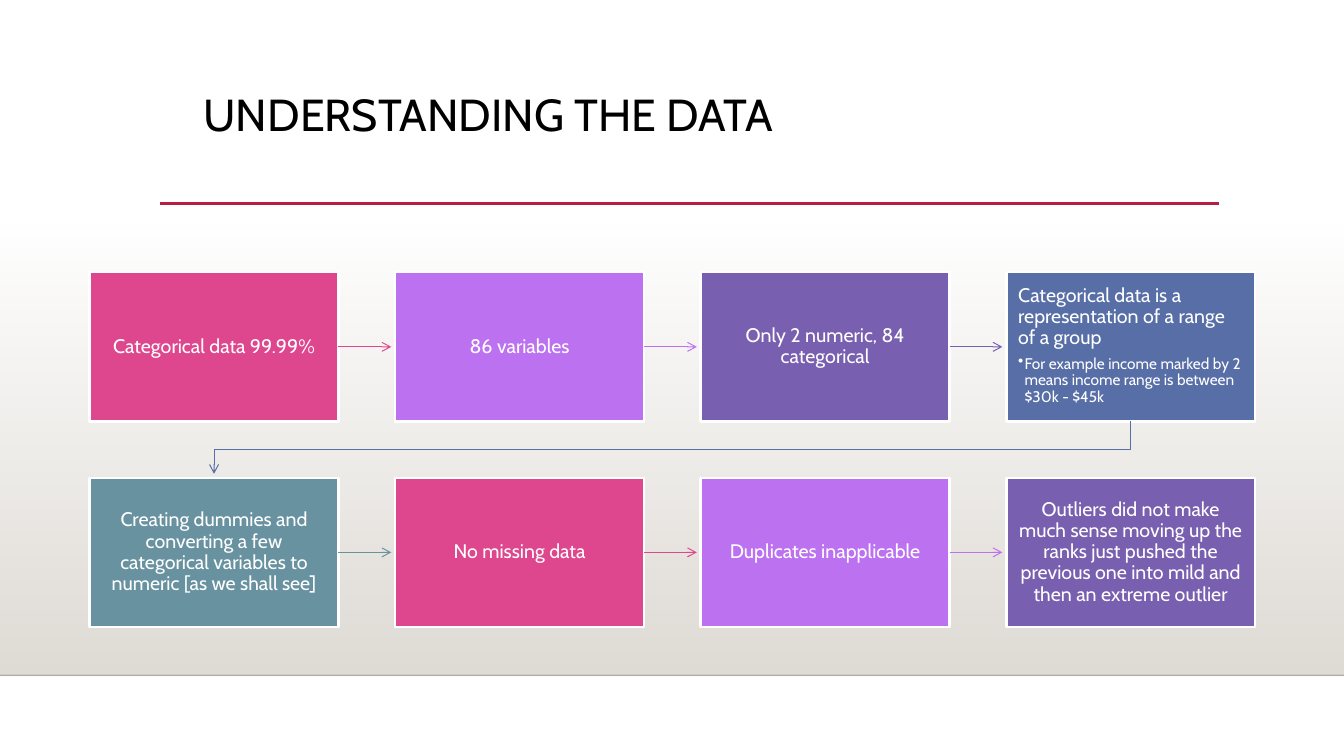
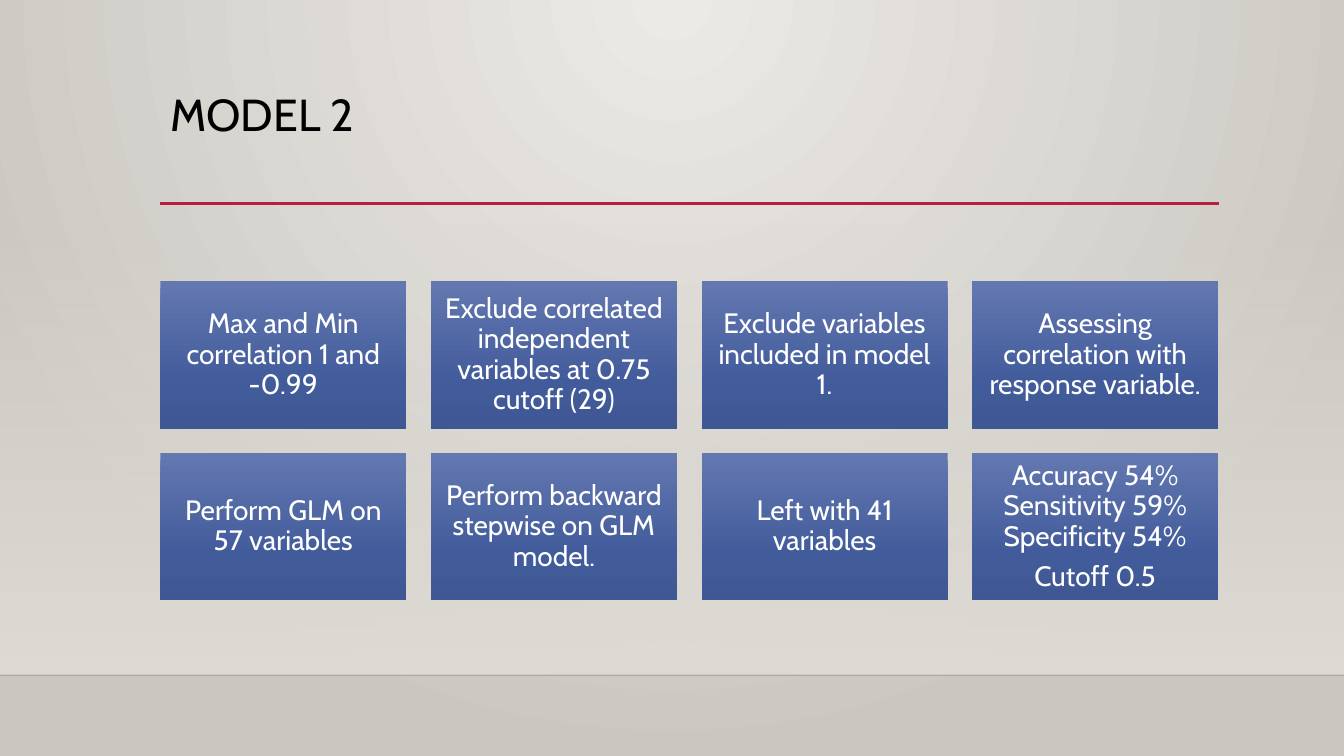
from lxml import etree
from pptx import Presentation
from pptx.dml.color import RGBColor
from pptx.enum import shapes, text
from pptx.oxml import ns
from pptx.util import Cm, Pt

FONT = "Cabin"
WHITE = RGBColor(0xFF, 0xFF, 0xFF)
BLACK = RGBColor(0x00, 0x00, 0x00)
CRIMSON = RGBColor(0xB7, 0x1E, 0x42)
SAND = RGBColor(0xDF, 0xDB, 0xD5)
STEP_COLOURS = [
    RGBColor(0xDE, 0x47, 0x8E),
    RGBColor(0xBC, 0x72, 0xF0),
    RGBColor(0x79, 0x5F, 0xAF),
    RGBColor(0x58, 0x6E, 0xA6),
    RGBColor(0x68, 0x92, 0xA0),
]
BLUE_STOPS = [
    (0, RGBColor(0x63, 0x78, 0xB0), 100),
    (69, RGBColor(0x42, 0x5B, 0x9B), 100),
    (100, RGBColor(0x3F, 0x57, 0x93), 100),
]
HALO_STOPS = [
    (0, RGBColor(0xEC, 0xEA, 0xE7), 100),
    (100, RGBColor(0xCA, 0xC7, 0xC1), 100),
]
FLOOR_STOPS = [(0, SAND, 0), (100, SAND, 100)]

WIDTH, HEIGHT = 33.87, 19.05
FLOOR_TOP, FLOOR_BOTTOM = 5.61, 17.02
RULE_LEFT, RULE_RIGHT, RULE_Y = 4.04, 30.73, 5.13
COLUMNS = 4

DECK = [
    {
        "title": "UNDERSTANDING THE DATA", "title_left": 4.88,
        "flow": True, "left": 2.26, "top": 6.86, "card": (6.27, 3.76),
        "pitch": (7.7, 5.18), "insets": (0.3, 0.33), "size": 14,
        "cards": [
            ["Categorical data 99.99%"],
            ["86 variables"],
            ["Only 2 numeric, 84 categorical"],
            ["Categorical data is a representation of a range of a group",
             "For example income marked by 2 means income range is between $30k - $45k"],
            ["Creating dummies and converting a few categorical variables to numeric "
             "[as we shall see]"],
            ["No missing data"],
            ["Duplicates inapplicable"],
            ["Outliers did not make much sense moving up the ranks just pushed the "
             "previous one into mild and then an extreme outlier"],
        ],
    },
    {
        "title": "MODEL 2", "title_left": 4.04,
        "flow": False, "left": 4.04, "top": 7.09, "card": (6.2, 3.71),
        "pitch": (6.82, 4.33), "insets": (0.2, 0.2), "size": 20,
        "cards": [
            ["Max and Min correlation 1 and -0.99"],
            ["Exclude correlated independent variables at 0.75 cutoff (29)"],
            ["Exclude variables included in model 1."],
            ["Assessing correlation with response variable."],
            ["Perform GLM on 57 variables"],
            ["Perform backward stepwise on GLM model."],
            ["Left with 41 variables"],
            ["Accuracy 54% Sensitivity 59% Specificity 54%", "Cutoff 0.5"],
        ],
    },
]


def gradient(fill, element, stops, radial=False):
    fill.gradient()
    grad = next(element.iter(ns.qn("a:gradFill")))
    for child in list(grad):
        grad.remove(child)
    stop_list = etree.SubElement(grad, ns.qn("a:gsLst"))
    for position, colour, opacity in stops:
        stop = etree.SubElement(stop_list, ns.qn("a:gs"), pos=str(position * 1000))
        tint = etree.SubElement(stop, ns.qn("a:srgbClr"), val=str(colour))
        if opacity < 100:
            etree.SubElement(tint, ns.qn("a:alpha"), val=str(opacity * 1000))
    if radial:
        circle = etree.SubElement(grad, ns.qn("a:path"), path="circle")
        etree.SubElement(circle, ns.qn("a:fillToRect"), l="43000", t="0", r="43000", b="100000")
    else:
        etree.SubElement(grad, ns.qn("a:lin"), ang="5400000", scaled="0")


def stroke(line_shape, colour, width, opacity=100, arrow=False):
    line_shape.line.color.rgb = colour
    line_shape.line.width = Pt(width)
    properties = line_shape._element.spPr
    outline = properties.find(ns.qn("a:ln"))
    if opacity < 100:
        tint = next(outline.iter(ns.qn("a:srgbClr")))
        etree.SubElement(tint, ns.qn("a:alpha"), val=str(opacity * 1000))
    if arrow:
        etree.SubElement(outline, ns.qn("a:tailEnd"), type="arrow")
    etree.SubElement(properties, ns.qn("a:effectLst"))


prs = Presentation()
prs.slide_width, prs.slide_height = Cm(WIDTH), Cm(HEIGHT)

for content in DECK:
    slide = prs.slides.add_slide(prs.slide_layouts[6])
    if content["flow"]:
        slide.background.fill.solid()
        slide.background.fill.fore_color.rgb = WHITE
    else:
        gradient(slide.background.fill, slide._element, HALO_STOPS, radial=True)

    floor = slide.shapes.add_shape(
        shapes.MSO_SHAPE.RECTANGLE, 0, Cm(FLOOR_TOP), Cm(WIDTH), Cm(FLOOR_BOTTOM - FLOOR_TOP))
    floor.shadow.inherit = False
    floor.line.fill.background()
    gradient(floor.fill, floor._element, FLOOR_STOPS)

    for start, end, y, colour, weight, opacity in [
        (0, WIDTH, FLOOR_BOTTOM, BLACK, 1, 20),
        (RULE_LEFT, RULE_RIGHT, RULE_Y, CRIMSON, 2.5, 100),
    ]:
        rule = slide.shapes.add_connector(
            shapes.MSO_CONNECTOR.STRAIGHT, Cm(start), Cm(y), Cm(end), Cm(y))
        stroke(rule, colour, weight, opacity)

    title = slide.shapes.add_textbox(Cm(content["title_left"]), Cm(2.22), Cm(24.1), Cm(2.92))
    title.text_frame.word_wrap = True
    title.text_frame.text = content["title"]
    heading = title.text_frame.paragraphs[0]
    heading.line_spacing = 0.9
    heading.runs[0].font.name = FONT
    heading.runs[0].font.size = Pt(32)
    heading.runs[0].font.color.rgb = BLACK

    card_width, card_height = content["card"]
    pitch_x, pitch_y = content["pitch"]
    inset_x, inset_y = content["insets"]
    for index, lines in enumerate(content["cards"]):
        row, column = divmod(index, COLUMNS)
        x = content["left"] + column * pitch_x
        y = content["top"] + row * pitch_y
        card = slide.shapes.add_shape(
            shapes.MSO_SHAPE.RECTANGLE, Cm(x), Cm(y), Cm(card_width), Cm(card_height))
        card.shadow.inherit = False
        bulleted = content["flow"] and len(lines) > 1
        if content["flow"]:
            step_colour = STEP_COLOURS[index % len(STEP_COLOURS)]
            card.fill.solid()
            card.fill.fore_color.rgb = step_colour
            card.line.color.rgb = WHITE
            card.line.width = Pt(1.75)
        else:
            gradient(card.fill, card._element, BLUE_STOPS)
            card.line.fill.background()

        frame = card.text_frame
        frame.word_wrap = True
        frame.margin_left = frame.margin_right = Cm(inset_x)
        frame.margin_top = frame.margin_bottom = Cm(inset_y)
        frame.vertical_anchor = text.MSO_ANCHOR.TOP if bulleted else text.MSO_ANCHOR.MIDDLE
        frame.text = "\n".join(lines)
        for order, paragraph in enumerate(frame.paragraphs):
            paragraph.alignment = text.PP_ALIGN.LEFT if bulleted else text.PP_ALIGN.CENTER
            paragraph.line_spacing = 0.9
            if order < len(lines) - 1:
                paragraph.space_after = Pt(round(content["size"] * 0.35))
            font = paragraph.runs[0].font
            font.name = FONT
            font.size = Pt(content["size"])
            font.color.rgb = WHITE
            if bulleted and order > 0:
                font.size = Pt(11)
                indents = paragraph._p.get_or_add_pPr()
                indents.set("marL", str(Cm(0.16)))
                indents.set("indent", str(Cm(-0.16)))
                etree.SubElement(indents, ns.qn("a:buChar"), char="•")

        if not content["flow"] or index == len(content["cards"]) - 1:
            continue
        if column < COLUMNS - 1:
            middle = Cm(y + card_height / 2)
            step = slide.shapes.add_connector(
                shapes.MSO_CONNECTOR.STRAIGHT,
                Cm(x + card_width), middle, Cm(x + pitch_x - 0.1), middle)
        else:
            start_x = x + card_width / 2
            end_x = content["left"] + card_width / 2
            bottom, next_top = y + card_height, y + pitch_y
            turn = (bottom + next_top) / 2
            builder = slide.shapes.build_freeform(Cm(start_x), Cm(bottom))
            builder.add_line_segments(
                [(Cm(start_x), Cm(turn)), (Cm(end_x), Cm(turn)), (Cm(end_x), Cm(next_top - 0.1))],
                close=False)
            step = builder.convert_to_shape()
            step.fill.background()
        stroke(step, step_colour, 0.75, arrow=True)

prs.save("out.pptx")
